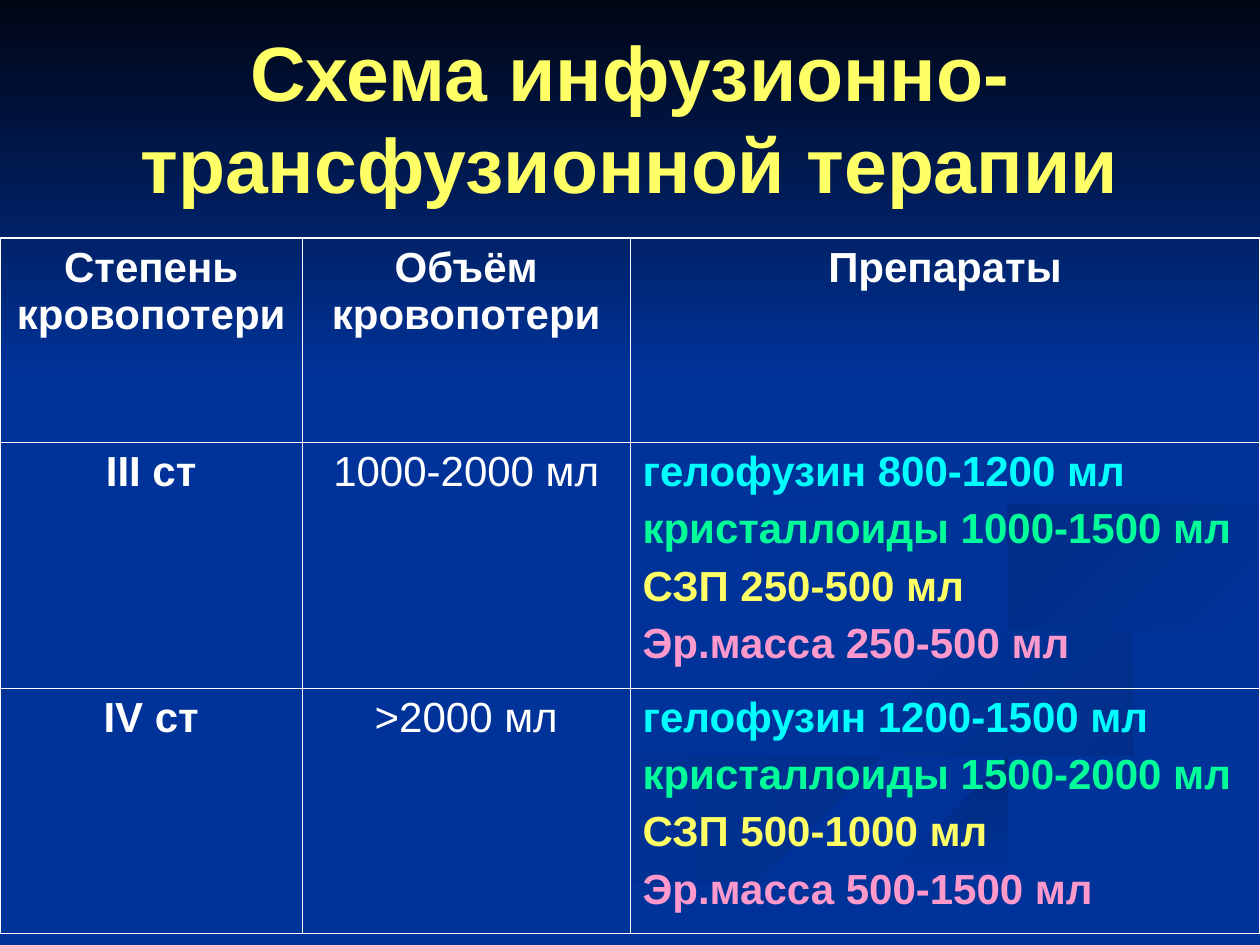
import pptx
import pptx.dml.color
import pptx.enum.text
import pptx.oxml
import pptx.oxml.ns
import pptx.util
from pptx.util import Inches

COLORS = {
    "blue": "003399", "night": "000514", "white": "FFFFFF", "yellow": "FFFF66",
    "cyan": "00FFFF", "green": "00FF99", "pink": "FF99CC",
    "shade_1": "002E8A", "shade_2": "00297C", "shade_3": "002C85", "shade_4": "002B81",
}
FONT = "Arial"
CENTER = pptx.enum.text.PP_ALIGN.CENTER
LEFT = pptx.enum.text.PP_ALIGN.LEFT
CURVE_STEPS = 6

# Ribbons: start colour, end colour, clockwise gradient angle, knots of a closed curve
RIBBONS = [
    ("shade_1", "blue", 180, [
        (3, 7.49), (5.39, 6.49), (7.39, 5.98), (7.86, 5.66), (7.14, 5.3), (5.86, 4.87),
        (5.75, 4.59), (6.42, 5.07), (7.57, 5.43), (8, 5.81), (7.21, 6.23), (3.61, 7.49)]),
    ("shade_1", "blue", 225, [
        (7.24, 4.64), (7.58, 4.98), (8.7, 5.3), (9.43, 5.7), (8.94, 6.05), (9.18, 5.81),
        (8.54, 5.39), (7.46, 5)]),
    ("shade_2", "blue", 90, [
        (5.03, 7.49), (6.96, 6.69), (9.98, 5.81), (9.98, 6.09), (7.85, 6.61), (5.71, 7.49)]),
    ("blue", "blue", 0, [
        (4.77, 7.49), (6.63, 6.68), (8.69, 6.11), (9.43, 5.7), (8.71, 5.3), (7.25, 4.64),
        (7.88, 4.22), (9.99, 3.87), (9.99, 4.02), (8.22, 4.34), (7.81, 4.63), (8.48, 5.03),
        (9.99, 5.38), (9.99, 5.81), (7.65, 6.47), (5.19, 7.47)]),
    ("blue", "shade_3", 225, [
        (7.81, 4.6), (8.35, 4.3), (9.98, 4.02), (9.98, 4.2), (8.59, 4.43), (8.05, 4.72),
        (8.26, 4.96)]),
    ("blue", "shade_4", 225, [
        (7.62, 2.33), (8.64, 2.91), (8.94, 3.44), (8.41, 3.96), (6.83, 4.3), (5.93, 4.7),
        (6.22, 5), (5.77, 4.62), (6.76, 4.14), (8.42, 3.78), (8.89, 3.35)]),
]

HEADERS = ["Степень кровопотери", "Объём кровопотери", "Препараты"]
DRUG_COLORS = ["cyan", "green", "yellow", "pink"]
DEGREES = [
    ("III ст", "1000-2000 мл", ["гелофузин 800-1200 мл", "кристаллоиды 1000-1500 мл",
                                "СЗП 250-500 мл", "Эр.масса 250-500 мл"]),
    ("IV ст", ">2000 мл", ["гелофузин 1200-1500 мл", "кристаллоиды 1500-2000 мл",
                           "СЗП 500-1000 мл", "Эр.масса 500-1500 мл"]),
]


def rgb(name):
    return pptx.dml.color.RGBColor.from_string(COLORS[name])


def format_paragraph(paragraph, size, color, bold=True, align=CENTER, before=0):
    paragraph.alignment = align
    paragraph.space_before = pptx.util.Pt(before)
    for run in paragraph.runs:
        run.font.name = FONT
        run.font.size = pptx.util.Pt(size)
        run.font.bold = bold
        run.font.color.rgb = rgb(color)


def spline(a, b, c, d, t):
    """Catmull-Rom value between b and c."""
    return b + t / 2 * (c - a + t * (2 * a - 5 * b + 4 * c - d + t * (3 * (b - c) + d - a)))


def smooth_outline(knots):
    """Closed curve through the knots, kept inside their bounding box."""
    limits = [(min(axis), max(axis)) for axis in zip(*knots)]
    count = len(knots)
    points = []
    for i in range(count):
        axes = list(zip(*(knots[(i + k) % count] for k in (-1, 0, 1, 2))))
        for step in range(CURVE_STEPS):
            points.append(tuple(
                min(max(spline(*axis, step / CURVE_STEPS), low), high)
                for axis, (low, high) in zip(axes, limits)))
    return points


def paint(shape, start, end, angle):
    shape.shadow.inherit = False
    shape.line.fill.background()
    if start == end:
        shape.fill.solid()
        shape.fill.fore_color.rgb = rgb(start)
        return
    shape.fill.gradient()
    shape.fill.gradient_angle = (360 - angle) % 360
    for stop, color in zip(shape.fill.gradient_stops, (start, end)):
        stop.color.rgb = rgb(color)


def add_outline(slide, points):
    builder = slide.shapes.build_freeform(*points[0], scale=Inches(1))
    builder.add_line_segments(points[1:], close=True)
    return builder.convert_to_shape()


def add_background(slide, width, band_height):
    slide.background.fill.solid()
    slide.background.fill.fore_color.rgb = rgb("blue")
    for start, end, angle, knots in RIBBONS:
        paint(add_outline(slide, smooth_outline(knots)), start, end, angle)
    # Dark band fading down from the top edge
    band = [(0, 0), (0, band_height), (width, band_height), (width, 0)]
    paint(add_outline(slide, band), "night", "blue", 90)


def set_borders(cell, widths):
    properties = cell._tc.get_or_add_tcPr()
    for side, width in zip("LRTB", widths):
        properties.append(pptx.oxml.parse_xml(
            f'<a:ln{side} {pptx.oxml.ns.nsdecls("a")} w="{pptx.util.Pt(width)}"><a:solidFill>'
            f'<a:srgbClr val="{COLORS["white"]}"/></a:solidFill></a:ln{side}>'))


def fill_cell(cell, lines, colors, bold=True, align=CENTER):
    cell.text_frame.text = "\n".join(lines)
    for paragraph, color in zip(cell.text_frame.paragraphs, colors):
        format_paragraph(paragraph, 24, color, bold, align, before=6)


def add_therapy_table(slide, left, top, widths, heights):
    frame = slide.shapes.add_table(len(heights), len(widths), left, top,
                                   sum(widths), sum(heights))
    table = frame.table
    table.first_row = table.horz_banding = False
    for column, width in zip(table.columns, widths):
        column.width = width
    for row, height in zip(table.rows, heights):
        row.height = height

    # Thick outer frame, thin inner grid, no fill
    last_row, last_column = len(heights) - 1, len(widths) - 1
    for r in range(len(heights)):
        for c in range(len(widths)):
            outer = (c == 0, c == last_column, r == 0, r == last_row)
            set_borders(table.cell(r, c), [1.08 if edge else 0.45 for edge in outer])
            table.cell(r, c).fill.background()

    # Header row, then one row for each degree
    for c, header in enumerate(HEADERS):
        fill_cell(table.cell(0, c), [header], ["white"])
    for r, (degree, volume, drugs) in enumerate(DEGREES, start=1):
        fill_cell(table.cell(r, 0), [degree], ["white"])
        fill_cell(table.cell(r, 1), [volume], ["white"], bold=False)
        fill_cell(table.cell(r, 2), drugs, DRUG_COLORS, align=LEFT)


def place_title(slide, left, top, width, height):
    title = slide.shapes.title
    title.left, title.top, title.width, title.height = left, top, width, height
    frame = title.text_frame
    frame.text = "Схема инфузионно-трансфузионной терапии"
    frame.word_wrap = True
    frame.auto_size = pptx.enum.text.MSO_AUTO_SIZE.NONE
    frame.vertical_anchor = pptx.enum.text.MSO_ANCHOR.MIDDLE
    format_paragraph(frame.paragraphs[0], 44, "yellow")
    # Bring the title in front of the background
    slide.shapes._spTree.append(title._element)


def main():
    presentation = pptx.Presentation()
    presentation.slide_width, presentation.slide_height = Inches(10), Inches(7.5)
    slide = presentation.slides.add_slide(presentation.slide_layouts[5])
    add_background(slide, 10, 3.08)
    add_therapy_table(slide, Inches(0), Inches(1.89),
                      [Inches(width) for width in (2.4, 2.6, 5)],
                      [Inches(height) for height in (1.62, 1.95, 1.95)])
    place_title(slide, Inches(0.5), Inches(0.3), Inches(9), Inches(1.25))
    presentation.save("out.pptx")


if __name__ == "__main__":
    main()
